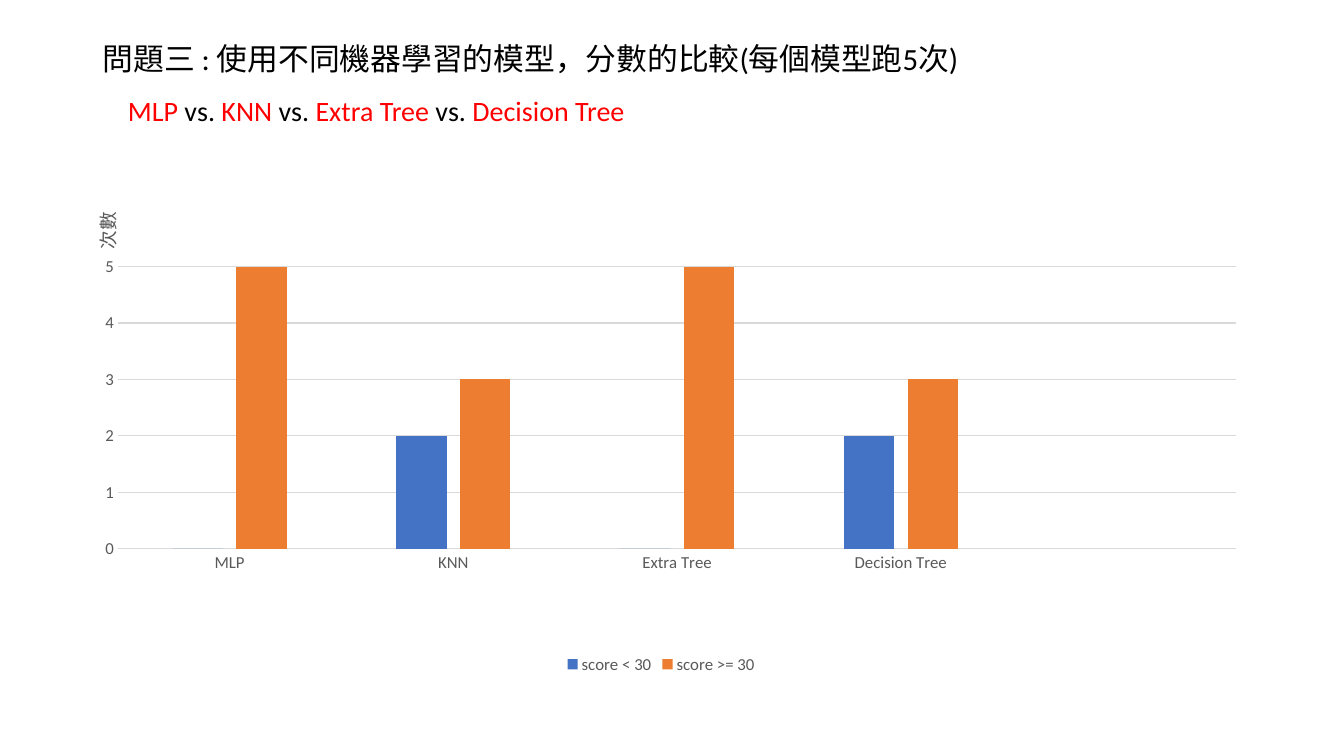
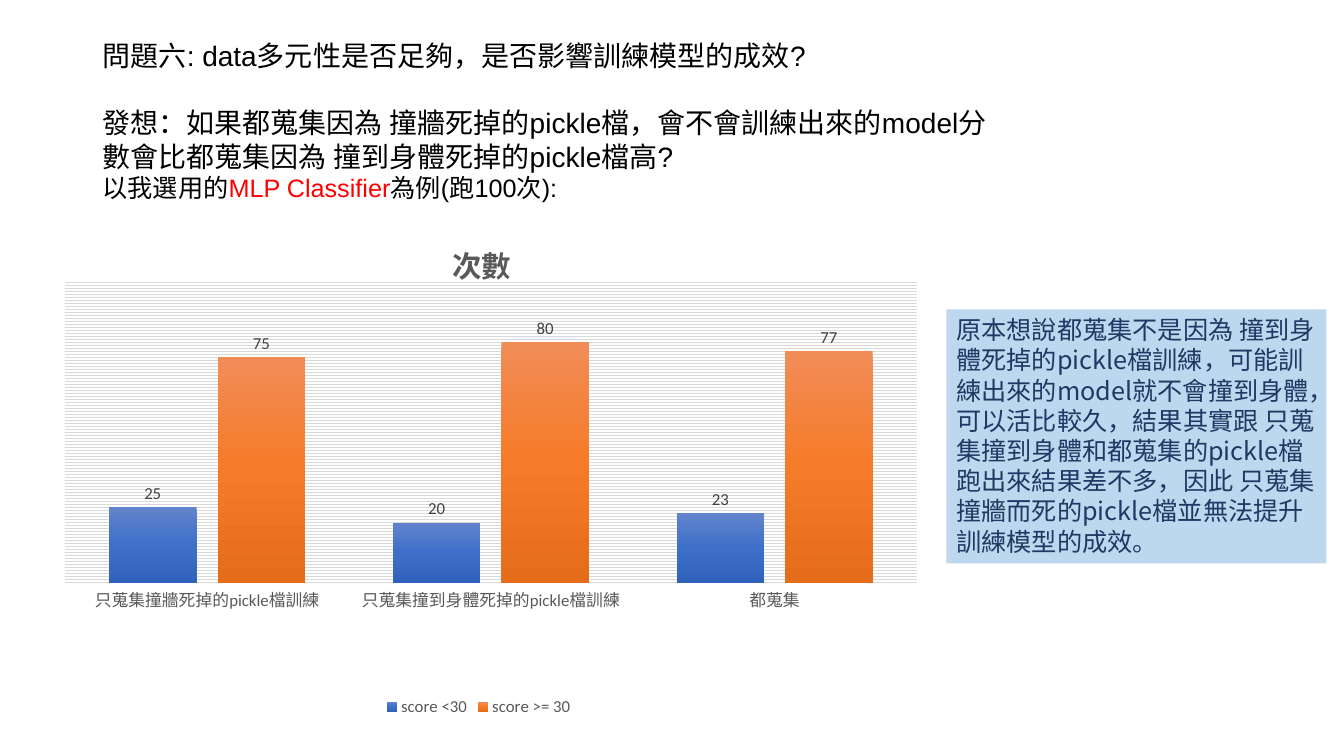
from copy import deepcopy
from typing import Any, NamedTuple, Optional

from lxml.etree import SubElement
from pptx import Presentation
from pptx.chart.data import CategoryChartData
from pptx.dml.color import RGBColor
from pptx.enum.chart import XL_CHART_TYPE, XL_LABEL_POSITION, XL_LEGEND_POSITION, XL_TICK_MARK
from pptx.enum.text import MSO_ANCHOR
from pptx.oxml import parse_xml
from pptx.oxml.ns import nsdecls, qn
from pptx.util import Pt

BLACK = RGBColor(0x00, 0x00, 0x00)
RED = RGBColor(0xFF, 0x00, 0x00)
GRAY = RGBColor(0x59, 0x59, 0x59)
LABEL_GRAY = RGBColor(0x40, 0x40, 0x40)
GRID_GRAY = RGBColor(0xD9, 0xD9, 0xD9)
BLUE = RGBColor(0x44, 0x72, 0xC4)
ORANGE = RGBColor(0xED, 0x7D, 0x31)
BLUE_FADE = (RGBColor(0x61, 0x83, 0xCB), RGBColor(0x3E, 0x70, 0xCA), RGBColor(0x30, 0x62, 0xBB))
ORANGE_FADE = (RGBColor(0xF1, 0x8C, 0x57), RGBColor(0xF6, 0x7B, 0x28), RGBColor(0xE5, 0x6C, 0x19))
PALE_BLUE = RGBColor(0xBD, 0xD7, 0xEE)
NAVY = RGBColor(0x20, 0x38, 0x64)

BODY_FONT = "Calibri"
HEADING_FONT = "Arial"
NOTE_FONT = "Noto Sans CJK SC"
HEADING_LEFT = 66.2
PLOT_FRAME = {"x": 0.04, "y": 0.142, "w": 0.947, "h": 0.588}
COUNT_TITLE = "次數"


class Box(NamedTuple):
    left: float
    top: float
    width: float
    height: float

    def lengths(self) -> list:
        return [Pt(value) for value in self]


class Span(NamedTuple):
    text: str
    color: RGBColor = BLACK


class Line(NamedTuple):
    spans: list
    size: float
    space_before: float = 0


class ScoreSeries(NamedTuple):
    name: str
    counts: tuple
    colors: tuple  # one colour is solid, more make a fade from top to bottom


class ScoreChart(NamedTuple):
    box: Box
    categories: tuple
    series: tuple
    maximum: int
    gap: int
    overlap: int
    axis_line: float
    format: dict


def set_format(target: Any, values: dict) -> None:
    for name, value in values.items():
        setattr(target, name, value)


def set_font(font: Any, size: float, color: RGBColor, name: str = BODY_FONT, bold: bool = False) -> None:
    set_format(font, {"name": name, "size": Pt(size), "bold": bold})
    font.color.rgb = color


def add_text(slide: Any, box: Box, lines: list, font: str, indent: float = 0,
             fill: Optional[RGBColor] = None) -> None:
    text_box = slide.shapes.add_textbox(*box.lengths())
    if fill is not None:
        text_box.fill.solid()
        text_box.fill.fore_color.rgb = fill
    frame = text_box.text_frame
    set_format(frame, {"word_wrap": True, "vertical_anchor": MSO_ANCHOR.TOP,
                       "margin_left": Pt(7.2 + indent)})
    for index, line in enumerate(lines):
        paragraph = frame.add_paragraph() if index else frame.paragraphs[0]
        if line.space_before:
            paragraph.space_before = Pt(line.space_before)
        for span in line.spans:
            run = paragraph.add_run()
            run.text = span.text
            set_font(run.font, line.size, span.color, font)


def set_layout(parent: Any, index: int, frame: dict, inner: bool = False) -> None:
    for old_layout in parent.findall(qn("c:layout")):
        parent.remove(old_layout)
    layout = parse_xml(f"<c:layout {nsdecls('c')}><c:manualLayout/></c:layout>")
    manual = layout[0]
    if inner:
        SubElement(manual, qn("c:layoutTarget"), val="inner")
    for key in ("x", "y"):
        SubElement(manual, qn(f"c:{key}Mode"), val="edge")
    for key, value in frame.items():
        SubElement(manual, qn(f"c:{key}"), val=str(value))
    parent.insert(index, layout)


def write_title(title: Any, size: float, bold: bool, x: float, y: float) -> None:
    frame = title.text_frame
    frame.text = COUNT_TITLE
    set_font(frame.paragraphs[0].runs[0].font, size, GRAY, bold=bold)
    set_layout(title._element, 1, {"x": x, "y": y})


def fill_series(series: Any, colors: tuple) -> None:
    fill = series.format.fill
    if len(colors) == 1:
        fill.solid()
        fill.fore_color.rgb = colors[0]
        return
    fill.gradient()
    fill.gradient_angle = 270
    stop_list = next(series._element.iter(qn("a:gsLst")))
    while len(stop_list) < len(colors):
        stop_list.append(deepcopy(stop_list[0]))
    for index, (stop, color) in enumerate(zip(fill.gradient_stops, colors)):
        stop.position = index / (len(colors) - 1)
        stop.color.rgb = color


def add_score_chart(slide: Any, spec_of_chart: ScoreChart) -> Any:
    data = CategoryChartData()
    data.categories = spec_of_chart.categories
    for series in spec_of_chart.series:
        data.add_series(series.name, series.counts)
    chart = slide.shapes.add_chart(XL_CHART_TYPE.COLUMN_CLUSTERED, *spec_of_chart.box.lengths(), data).chart
    set_format(chart, {"has_title": False, "has_legend": True})
    set_font(chart.font, 10, BLACK)

    # Legend
    set_format(chart.legend, {"position": XL_LEGEND_POSITION.BOTTOM, "include_in_layout": False})
    set_font(chart.legend.font, 12, GRAY)

    # Axes and grid
    for axis in (chart.category_axis, chart.value_axis):
        set_format(axis, {"major_tick_mark": XL_TICK_MARK.NONE, "minor_tick_mark": XL_TICK_MARK.NONE})
        set_font(axis.tick_labels.font, 12, GRAY)
    base_line = chart.category_axis.format.line
    base_line.color.rgb = GRID_GRAY
    base_line.width = Pt(spec_of_chart.axis_line)
    counts = chart.value_axis
    set_format(counts, {"minimum_scale": 0, "maximum_scale": spec_of_chart.maximum,
                        "major_unit": 1, "has_major_gridlines": True})
    counts.format.line.fill.background()
    grid_line = counts.major_gridlines.format.line
    grid_line.color.rgb = GRID_GRAY
    grid_line.width = Pt(0.75)

    # Columns
    plot = chart.plots[0]
    set_format(plot, {"gap_width": spec_of_chart.gap, "overlap": spec_of_chart.overlap,
                      "vary_by_categories": False})
    for series, content in zip(plot.series, spec_of_chart.series):
        fill_series(series, content.colors)
        if spec_of_chart.format["labels"]:
            labels = series.data_labels
            set_format(labels, {"show_value": True, "position": XL_LABEL_POSITION.OUTSIDE_END})
            set_font(labels.font, 12, LABEL_GRAY)
    counts.visible = spec_of_chart.format["value_axis"]
    set_layout(next(chart._chartSpace.iter(qn("c:plotArea"))), 0, PLOT_FRAME, inner=True)
    return chart


MODEL_CHART = ScoreChart(
    Box(50.4, 141.8, 843.8, 342.7),
    ("MLP", "KNN", "Extra Tree", "Decision Tree", ""),
    (ScoreSeries("score < 30", (0, 2, 0, 2, None), (BLUE,)),
     ScoreSeries("score >= 30", (5, 3, 5, 3, None), (ORANGE,))),
    maximum=5, gap=219, overlap=-27, axis_line=0.75,
    format={"labels": False, "value_axis": True})

DATA_CHART = ScoreChart(
    Box(20.9, 149.8, 642.2, 365),
    ("只蒐集撞牆死掉的pickle檔訓練", "只蒐集撞到身體死掉的pickle檔訓練", "都蒐集"),
    (ScoreSeries("score <30", (25, 20, 23), BLUE_FADE),
     ScoreSeries("score >= 30", (75, 80, 77), ORANGE_FADE)),
    maximum=100, gap=100, overlap=-24, axis_line=1,
    format={"labels": True, "value_axis": False})


def build_model_slide(slide: Any) -> None:
    # Question and compared models
    question = Span("問題三 : 使用不同機器學習的模型，分數的比較(每個模型跑5次)")
    add_text(slide, Box(HEADING_LEFT, 24.5, 710, 34), [Line([question], 22)], BODY_FONT)
    models = [Span("MLP", RED), Span(" vs. "), Span("KNN ", RED), Span("vs. "),
              Span("Extra Tree", RED), Span(" vs. "), Span("Decision Tree", RED)]
    add_text(slide, Box(HEADING_LEFT, 63, 828, 32), [Line(models, 20)], BODY_FONT, indent=18)

    # Counts by model
    chart = add_score_chart(slide, MODEL_CHART)
    axis_title = chart.value_axis.axis_title
    write_title(axis_title, 13.3, False, 0.015, 0.02)
    set_format_of_body = next(axis_title._element.iter(qn("a:bodyPr")))
    set_format_of_body.set("rot", "-5400000")
    set_format_of_body.set("vert", "horz")


def build_data_slide(slide: Any) -> None:
    # Counts by training data
    chart = add_score_chart(slide, DATA_CHART)
    write_title(chart.chart_title, 21, True, 0.465, 0.05)

    # Question and idea
    add_text(slide, Box(HEADING_LEFT, 23.8, 654.5, 126), [
        Line([Span("問題六: data多元性是否足夠，是否影響訓練模型的成效?")], 20),
        Line([Span("發想：如果都蒐集因為 撞牆死掉的pickle檔，會不會訓練出來的model"
                   "分數會比都蒐集因為 撞到身體死掉的pickle檔高?")], 20, space_before=24),
        Line([Span("以我選用的"), Span("MLP Classifier", RED), Span("為例(跑100次):")], 18),
    ], HEADING_FONT)

    # Finding
    finding = Span("原本想說都蒐集不是因為 撞到身體死掉的pickle檔訓練，可能訓練出來的model就不會撞到身體，"
                   "可以活比較久，結果其實跟 只蒐集撞到身體和都蒐集的pickle檔跑出來結果差不多，"
                   "因此 只蒐集撞牆而死的pickle檔並無法提升訓練模型的成效。", NAVY)
    add_text(slide, Box(676, 221, 271.4, 181.4), [Line([finding], 18)], NOTE_FONT, fill=PALE_BLUE)


def main() -> None:
    presentation = Presentation()
    set_format(presentation, {"slide_width": Pt(960), "slide_height": Pt(540)})
    blank = presentation.slide_layouts[6]
    for build in (build_model_slide, build_data_slide):
        build(presentation.slides.add_slide(blank))
    presentation.save("out.pptx")


if __name__ == "__main__":
    main()
